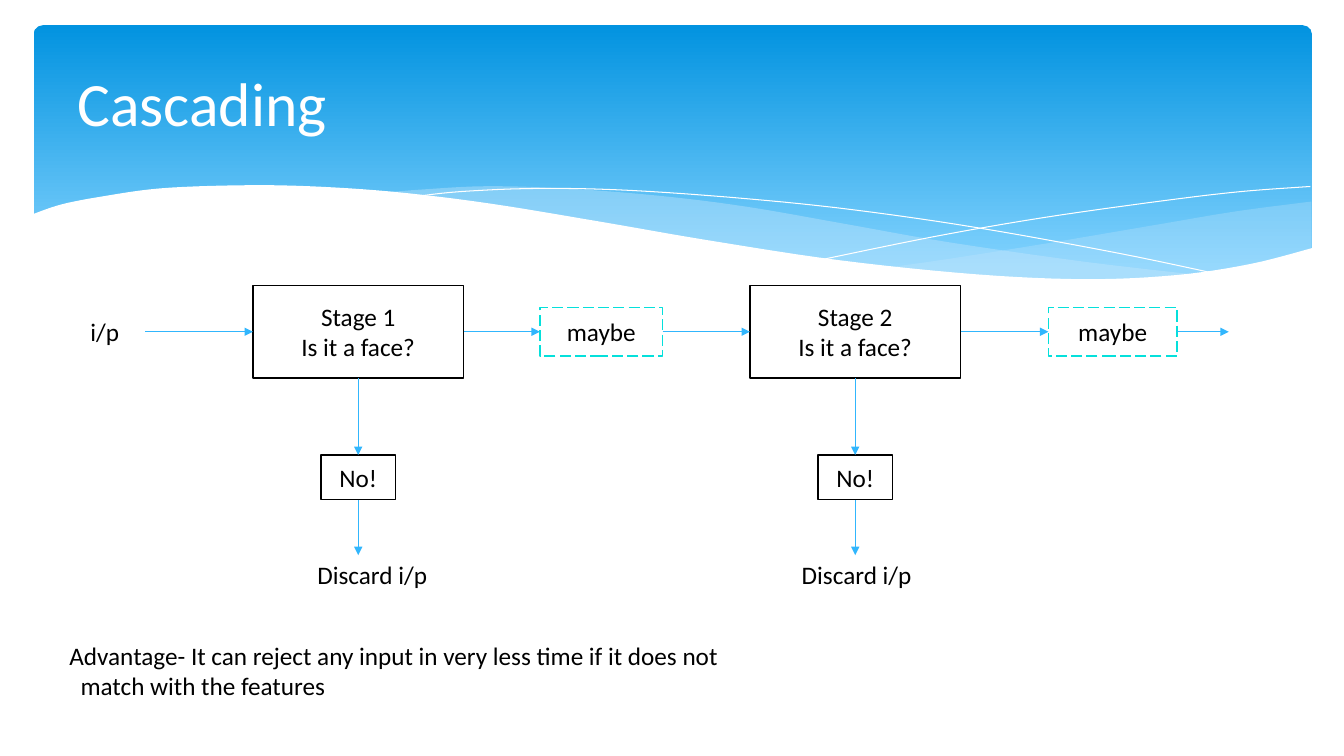
from lxml import etree
from pptx import Presentation
from pptx.dml.color import RGBColor
from pptx.enum.dml import MSO_LINE
from pptx.enum.shapes import MSO_CONNECTOR, MSO_SHAPE
from pptx.enum.text import MSO_ANCHOR, PP_ALIGN
from pptx.oxml.ns import qn
from pptx.util import Pt

DASH = MSO_LINE.LONG_DASH
STRAIGHT = MSO_CONNECTOR.STRAIGHT
RECT, ROUND = MSO_SHAPE.RECTANGLE, MSO_SHAPE.ROUNDED_RECTANGLE
MIDDLE, LEFT, CENTER = MSO_ANCHOR.MIDDLE, PP_ALIGN.LEFT, PP_ALIGN.CENTER
TOP, WEST, BASE, EAST = range(4)
FONT, BLACK, WHITE = "Calibri", "000000", "FFFFFF"
SKY, AQUA, PALE = "31B6FD", "05E0DB", "C6E7FC"
MID = 237

RIGHT_TOP = [(936.7, 144), (883, 151), (826, 160.6), (747, 174), (677.5, 185), (635, 191)]
RIGHT_LOW = [(635, 191), (690, 196), (749.5, 199.5), (811, 199.5), (869, 193.7),
             (905, 186.5), (936.7, 178)]
LONG_TOP = [(857, 196.5), (775, 187), (677.5, 173), (604, 160), (533, 147.6),
            (469.5, 139.7), (403, 134.6), (347, 133), (301, 135.4), (275, 137.5)]
LONG_LOW = [(275, 137.5), (328, 143.3), (388, 152), (431, 160), (508, 173),
            (593, 186), (667, 194.4), (741.6, 199.4), (795, 200), (857, 196.5)]
FALL = [(296.6, 140.4), (330, 136.8), (385, 134.6), (450, 136), (534, 142),
        (610.6, 150), (698.4, 162.7), (798, 180.7), (871, 196)]
RISE = [(589, 185), (667.4, 169), (745, 155.5), (831.6, 143.3), (887, 136.8), (936, 133.2)]
EDGE = [(938, 177), (893, 188.6), (840, 196.5), (776, 199.4), (698, 196),
        (600.5, 186), (508, 172), (429, 158.4), (350, 145.4), (281, 137),
        (220, 133), (169, 132.4), (114, 134.6), (72.7, 140.4), (44, 146), (22.3, 153.4)]


def paint(target, color):
    """Give a fill or a line fill one solid colour."""
    target.solid()
    target.fore_color.rgb = RGBColor.from_string(color)


def write(frame, lines, size=18, color=BLACK, align=LEFT):
    """Write one paragraph per line of text."""
    frame.word_wrap = True
    for i, line in enumerate(lines):
        para = frame.add_paragraph() if i else frame.paragraphs[0]
        para.alignment = align
        run = para.add_run()
        run.text = line
        run.font.name, run.font.size = FONT, Pt(size)
        paint(run.font.fill, color)


def smooth(knots, steps=6):
    """Return points on a Catmull-Rom curve through the knots."""
    ends = [knots[0], *knots, knots[-1]]
    points = []
    for a, b, c, d in zip(ends, ends[1:], ends[2:], ends[3:]):
        for n in range(steps):
            t = n / steps
            points.append(tuple(
                (2 * q + (r - p) * t + (2 * p - 5 * q + 4 * r - s) * t ** 2
                 + (3 * q - p - 3 * r + s) * t ** 3) / 2
                for p, q, r, s in zip(a, b, c, d)))
    return points + [knots[-1]]


def trace(slide, points, close):
    """Draw a freeform through the points."""
    (x, y), *rest = [(Pt(x), Pt(y)) for x, y in points]
    pen = slide.shapes.build_freeform(x, y)
    pen.add_line_segments(rest, close=close)
    shape = pen.convert_to_shape()
    shape.shadow.inherit = False
    return shape


def wave(slide, points, color, alpha=100):
    """Draw a filled wave with the given opacity in percent."""
    shape = trace(slide, points, True)
    paint(shape.fill, color)
    shape.line.fill.background()
    tint = next(shape.element.spPr.iter(qn("a:srgbClr")))
    etree.SubElement(tint, qn("a:alpha"), val=str(alpha * 1000))


def curve(slide, knots):
    """Draw a white hairline curve."""
    shape = trace(slide, smooth(knots), False)
    shape.fill.background()
    paint(shape.line.fill, WHITE)
    shape.line.width = Pt(0)


def banner(slide):
    """Draw the blue gradient header and its waves."""
    panel = slide.shapes.add_shape(ROUND, Pt(24), Pt(18), Pt(913), Pt(194.4))
    panel.adjustments[0] = 0.034
    panel.shadow.inherit = False
    panel.line.fill.background()
    panel.fill.gradient()
    panel.fill.gradient_angle = 270
    for stop, place, color in zip(panel.fill.gradient_stops, (0, 0.9), ("0293E0", "83D3FE")):
        stop.position = place
        stop.color.rgb = RGBColor.from_string(color)
    wave(slide, smooth(RIGHT_TOP) + smooth(RIGHT_LOW), PALE, 29)
    wave(slide, smooth(LONG_TOP) + smooth(LONG_LOW), PALE, 40)
    curve(slide, FALL)
    curve(slide, RISE)
    wave(slide, smooth(EDGE) + [(22.3, 237), (938, 237)], WHITE)


def head(slide, text):
    """Fill the title placeholder and lift it above the banner."""
    title = slide.shapes.title
    title.left, title.top, title.width, title.height = Pt(48), Pt(26.6), Pt(864), Pt(98.6)
    write(title.text_frame, [text], 44, WHITE)
    title.text_frame.vertical_anchor = MIDDLE
    title.text_frame.paragraphs[0].line_spacing = 0.9
    title.element.getparent().append(title.element)


def box(slide, x, y, w, h, lines, color=BLACK, dash=None):
    """Draw a white box with centred text."""
    shape = slide.shapes.add_shape(RECT, Pt(x), Pt(y), Pt(w), Pt(h))
    shape.shadow.inherit = False
    paint(shape.fill, WHITE)
    paint(shape.line.fill, color)
    shape.line.width = Pt(1)
    if dash:
        shape.line.dash_style = dash
    write(shape.text_frame, lines, align=CENTER)
    shape.text_frame.vertical_anchor = MIDDLE
    return shape


def label(slide, x, y, w, h, text):
    """Add plain text and return its frame."""
    frame = slide.shapes.add_textbox(Pt(x), Pt(y), Pt(w), Pt(h)).text_frame
    write(frame, [text])
    return frame


def arrow(slide, start, end):
    """Draw an arrow; each end is a point or a (shape, site) pair."""
    points = [(0, 0) if hasattr(p[0], "shape_id") else (Pt(p[0]), Pt(p[1]))
              for p in (start, end)]
    line = slide.shapes.add_connector(STRAIGHT, *points[0], *points[1])
    for pin, glue in ((start, line.begin_connect), (end, line.end_connect)):
        if hasattr(pin[0], "shape_id"):
            glue(*pin)
    paint(line.line.fill, SKY)
    line.line.width = Pt(0.75)
    etree.SubElement(line.line._get_or_add_ln(), qn("a:tailEnd"), type="triangle")
    etree.SubElement(line.element.spPr, qn("a:effectLst"))


def stage(slide, name, x, far, wide, note):
    """Draw one stage with its two outcomes and return both main boxes."""
    test = box(slide, x, 204, 150.4, 66, [name, "Is it a face?"])
    fail = box(slide, x + 48.7, 325, 53, 32, ["No!"])
    hope = box(slide, far, MID - 17.3, wide, 34.6, ["maybe"], AQUA, DASH)
    arrow(slide, (test, EAST), (hope, WEST))
    arrow(slide, (test, BASE), (fail, TOP))
    arrow(slide, (fail, BASE), (x + 75.2, 396.5))
    label(slide, note, 396, 110, 29, "Discard i/p")
    return test, hope


def main():
    """Build the slide and save it."""
    deck = Presentation()
    deck.slide_width, deck.slide_height = Pt(960), Pt(540)
    slide = deck.slides.add_slide(deck.slide_layouts[5])
    banner(slide)
    head(slide, "Cascading")
    first, maybe = stage(slide, "Stage 1", 180.7, 385.6, 87.8, 219.6)
    second, last = stage(slide, "Stage 2", 535.7, 748.8, 92, 565.6)
    label(slide, 57.5, 222.5, 46, 29, "i/p")
    arrow(slide, (103.7, MID), (first, WEST))
    arrow(slide, (maybe, EAST), (second, WEST))
    arrow(slide, (last, EAST), (877.7, MID))
    frame = label(slide, 42.5, 453.6, 480.2, 51, "Advantage- It can reject any input in "
                  "very less time if it does not match with the features")
    props = frame.paragraphs[0]._p.get_or_add_pPr()
    props.set("marL", str(Pt(8)))
    props.set("indent", str(Pt(-8)))
    deck.save("out.pptx")


if __name__ == "__main__":
    main()
